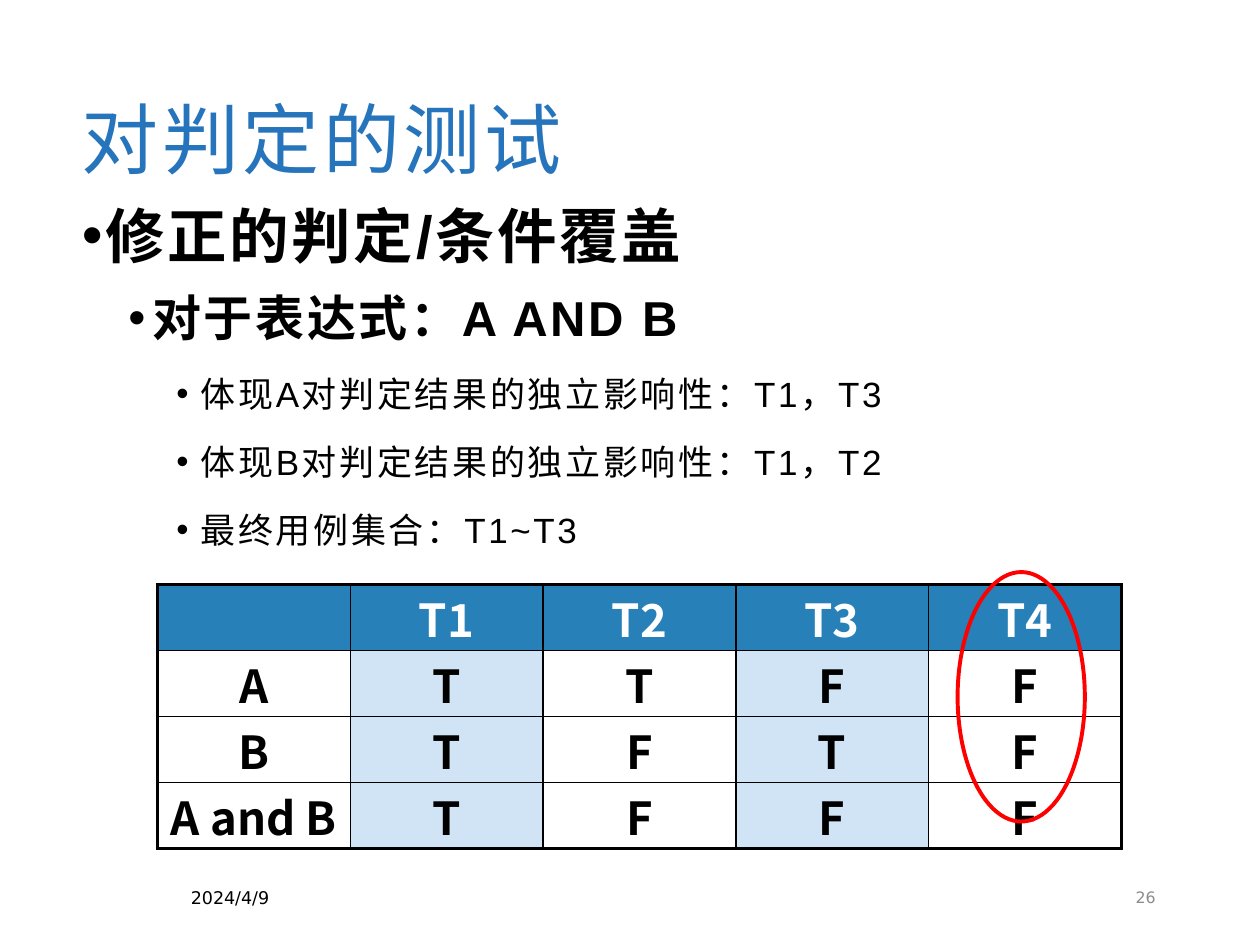
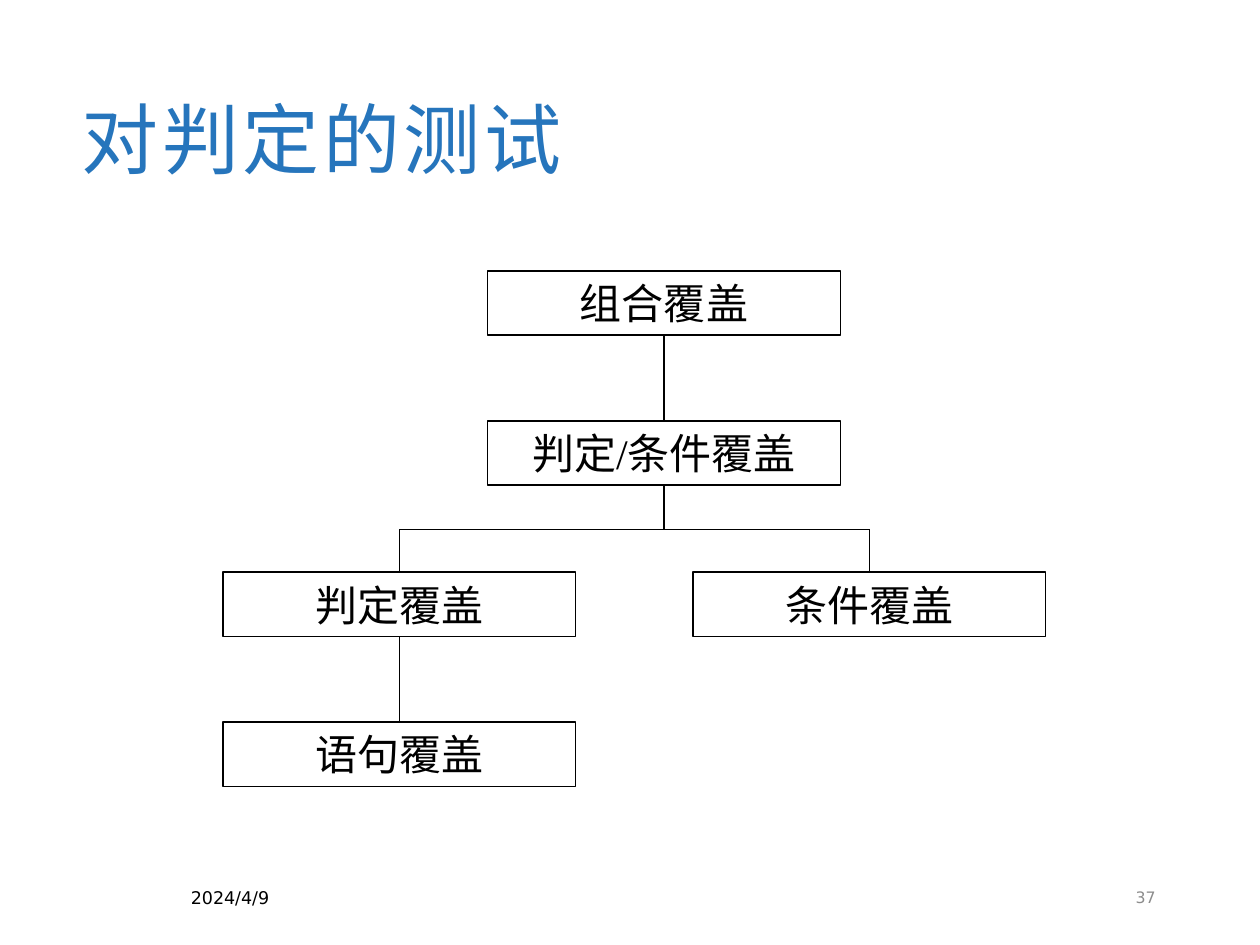
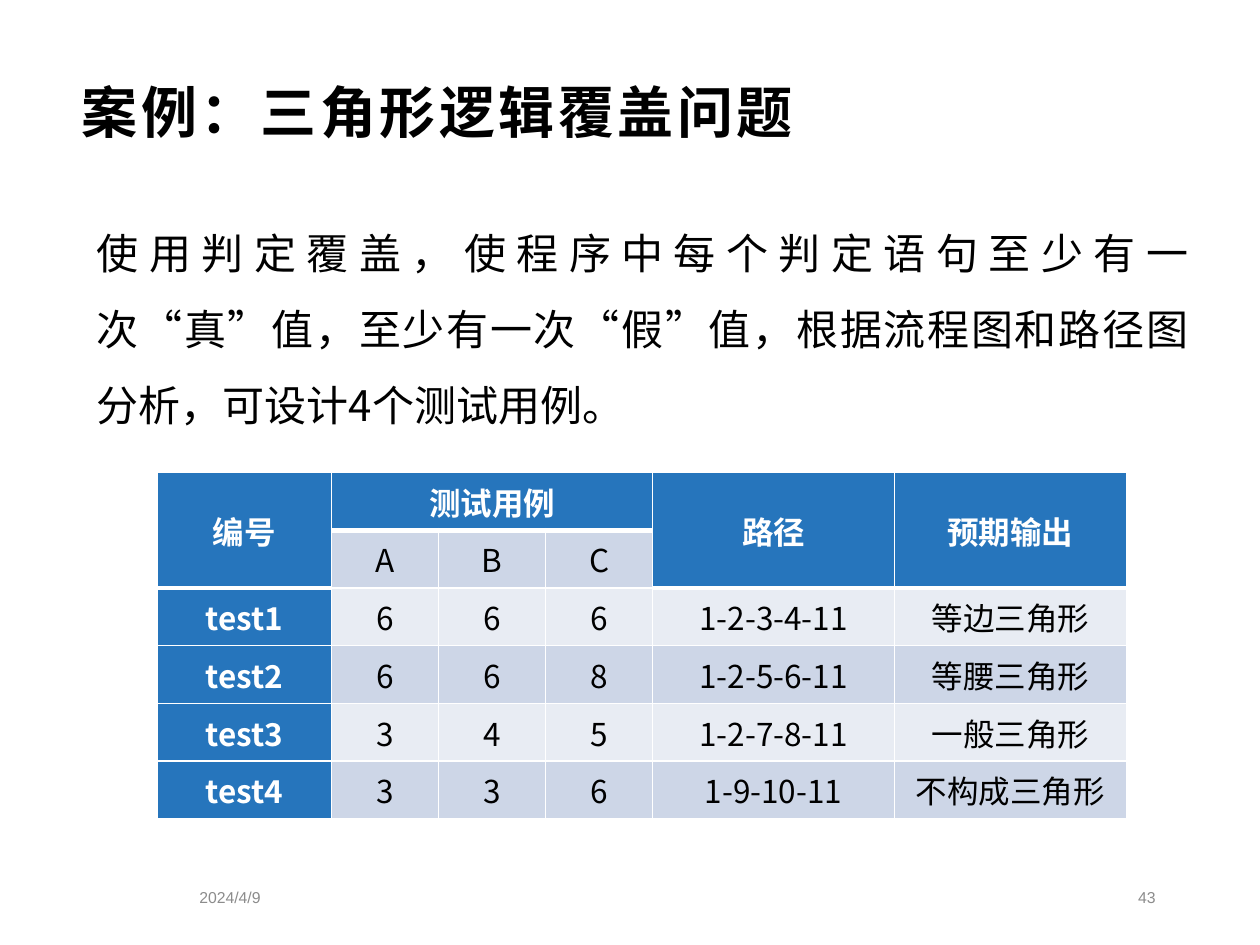
from pptx import Presentation
from pptx.dml.color import RGBColor
from pptx.enum.shapes import MSO_CONNECTOR, MSO_SHAPE
from pptx.enum.text import MSO_ANCHOR, MSO_AUTO_SIZE, PP_ALIGN
from pptx.oxml import parse_xml
from pptx.oxml.ns import nsdecls, qn
from pptx.util import Inches, Pt
from lxml.etree import SubElement


class Theme:
    blue, header, pale = "2675BC", "2780B7", "D0E4F5"
    band_dark, band_light = "CDD6E7", "E8ECF3"
    black, white, grey, red = "000000", "FFFFFF", "8C8C8C", "FF0000"
    latin, cjk, serif, footer = "Arial", "Noto Sans CJK SC", "Times New Roman", "DejaVu Sans"
    title, case_title, text, truth_table, case_table = 44, 32, 24, 26, 18
    date, page = 10, 9


def format_text(shape, size, font, color, bold=False, align=PP_ALIGN.LEFT,
                anchor=MSO_ANCHOR.MIDDLE, spacing=0):
    frame = shape.text_frame
    frame.word_wrap, frame.auto_size = True, MSO_AUTO_SIZE.NONE
    frame.vertical_anchor = anchor
    for paragraph in frame.paragraphs:
        paragraph.alignment = align
        for run in paragraph.runs:
            run.font.size, run.font.name, run.font.bold = Pt(size), font, bold
            run.font.color.rgb = RGBColor.from_string(color)
            properties = run._r.get_or_add_rPr()
            SubElement(properties, qn("a:ea")).set("typeface", Theme.cjk)
            if spacing:
                properties.set("spc", str(int(spacing * 100)))


def format_cell(cell, size, color, bold, fill, side_margin, line_color, widths):
    """Format a table cell; widths holds the left, right, top and bottom border in points."""
    cell.margin_left = cell.margin_right = Inches(side_margin)
    cell.margin_top = cell.margin_bottom = 0
    cell.vertical_anchor = MSO_ANCHOR.MIDDLE
    paragraph = cell.text_frame.paragraphs[0]
    paragraph.alignment = PP_ALIGN.CENTER
    for run in paragraph.runs:
        run.font.size, run.font.name, run.font.bold = Pt(size), Theme.cjk, bold
        run.font.color.rgb = RGBColor.from_string(color)
        SubElement(run._r.get_or_add_rPr(), qn("a:ea")).set("typeface", Theme.cjk)
    for side, width in zip("LRTB", widths):
        cell._tc.get_or_add_tcPr().append(parse_xml(
            f'<a:ln{side} {nsdecls("a")} w="{Pt(width)}"><a:solidFill>'
            f'<a:srgbClr val="{line_color}"/></a:solidFill></a:ln{side}>'))
    if fill:
        cell.fill.solid()
        cell.fill.fore_color.rgb = RGBColor.from_string(fill)
    else:
        cell.fill.background()


presentation = Presentation()
presentation.slide_width, presentation.slide_height = Inches(10), Inches(7.5)

# Titles and footers
slides = []
for title_text, page_number, layout, is_case in (
        ("对判定的测试", "26", 1, False),
        ("对判定的测试", "37", 5, False),
        ("案例：三角形逻辑覆盖问题", "43", 5, True)):
    slide = presentation.slides.add_slide(presentation.slide_layouts[layout])
    slides.append(slide)
    title = slide.shapes.title
    title.left, title.top, title.width = Inches(0.55), Inches(0.45), Inches(8.9)
    title.height = Inches(0.86 if is_case else 1.01)
    title.text_frame.text = title_text
    if is_case:
        format_text(title, Theme.case_title, Theme.latin, Theme.black, bold=True, spacing=2)
    else:
        title.text_frame.margin_bottom = 0
        format_text(title, Theme.title, Theme.latin, Theme.blue,
                    anchor=MSO_ANCHOR.BOTTOM, spacing=2)
    footer_font = Theme.latin if is_case else Theme.footer
    date_size, date_color = (Theme.page, Theme.grey) if is_case else (Theme.date, Theme.black)
    for text, left, size, color, align in (
            ("2024/4/9", 0.72, date_size, date_color, PP_ALIGN.CENTER),
            (page_number, 7.06, Theme.page, Theme.grey, PP_ALIGN.RIGHT)):
        footer = slide.shapes.add_textbox(Inches(left), Inches(6.99), Inches(2.21), Inches(0.26))
        footer.text_frame.text = text
        format_text(footer, size, footer_font, color, align=align)

decision_slide, hierarchy_slide, case_slide = slides

# Modified condition/decision coverage
body = decision_slide.placeholders[1]
body.left, body.top, body.width, body.height = Inches(0.55), Inches(1.41), Inches(8.9), Inches(4.79)
body.text_frame.margin_top = 0
points = [
    ("修正的判定/条件覆盖", 0),
    ("对于表达式：A AND B", 1),
    ("体现A对判定结果的独立影响性：T1，T3", 2),
    ("体现B对判定结果的独立影响性：T1，T2", 2),
    ("最终用例集合：T1~T3", 2),
]
level_styles = [(34, True, 1.3, 0.19), (28, True, 1.0, 0.56), (20, False, 1.2, 0.94)]
body.text_frame.text = "\n".join(text for text, level in points)
format_text(body, 20, Theme.latin, Theme.black, align=PP_ALIGN.JUSTIFY,
            anchor=MSO_ANCHOR.TOP, spacing=1.5)
for paragraph, (text, level) in zip(body.text_frame.paragraphs, points):
    size, bold, line_spacing, indent = level_styles[level]
    paragraph.level = level
    paragraph.line_spacing = line_spacing
    paragraph.space_before, paragraph.space_after = Pt(0), Pt(10)
    properties = paragraph._p.get_or_add_pPr()
    properties.set("marL", str(Inches(indent)))
    properties.set("indent", str(Inches(-0.19)))
    SubElement(properties, qn("a:buChar")).set("char", "•")
    paragraph.runs[0].font.size, paragraph.runs[0].font.bold = Pt(size), bold

truth_rows = [
    ["", "T1", "T2", "T3", "T4"],
    ["A", "T", "T", "F", "F"],
    ["B", "T", "F", "T", "F"],
    ["A and B", "T", "F", "F", "F"],
]
truth_table = decision_slide.shapes.add_table(
    4, 5, Inches(1.25), Inches(4.64), Inches(7.64), Inches(1.76)).table
for column in truth_table.columns:
    column.width = Inches(1.53)
for row, texts in enumerate(truth_rows):
    for column, text in enumerate(texts):
        cell = truth_table.cell(row, column)
        cell.text_frame.text = text
        fill = Theme.header if row == 0 else Theme.pale if column % 2 else None
        on_edge = (column == 0, column == 4, row == 0, row == 3)
        format_cell(cell, Theme.truth_table, Theme.black if row else Theme.white, True, fill, 0,
                    Theme.black, [2.25 if edge else 1 for edge in on_edge])

unused_case = decision_slide.shapes.add_shape(
    MSO_SHAPE.OVAL, Inches(7.6), Inches(4.54), Inches(1.01), Inches(1.98))
unused_case.shadow.inherit = False
unused_case.fill.background()
unused_case.line.color.rgb = RGBColor.from_string(Theme.red)
unused_case.line.width = Pt(2.25)

# Coverage hierarchy
boxes = {}
for text, left, top in (
        ("组合覆盖", 3.87, 2.15),
        ("判定/条件覆盖", 3.87, 3.34),
        ("判定覆盖", 1.77, 4.54),
        ("条件覆盖", 5.5, 4.54),
        ("语句覆盖", 1.77, 5.73)):
    box = hierarchy_slide.shapes.add_shape(
        MSO_SHAPE.RECTANGLE, Inches(left), Inches(top), Inches(2.8), Inches(0.51))
    box.shadow.inherit = False
    box.fill.background()
    box.line.color.rgb = RGBColor.from_string(Theme.black)
    box.line.width = Pt(0.75)
    box.text_frame.margin_top = box.text_frame.margin_bottom = 0
    box.text_frame.text = text
    format_text(box, Theme.text, Theme.serif, Theme.black, align=PP_ALIGN.CENTER)
    boxes[text] = box

branch_y = 4.2
for upper, lower, start, end in (
        ("组合覆盖", "判定/条件覆盖", (5.27, 2.66), (5.27, 3.34)),
        ("判定/条件覆盖", None, (5.27, 3.85), (5.27, branch_y)),
        (None, None, (3.17, branch_y), (6.9, branch_y)),
        (None, "判定覆盖", (3.17, branch_y), (3.17, 4.54)),
        (None, "条件覆盖", (6.9, branch_y), (6.9, 4.54)),
        ("判定覆盖", "语句覆盖", (3.17, 5.05), (3.17, 5.73))):
    connector = hierarchy_slide.shapes.add_connector(
        MSO_CONNECTOR.STRAIGHT, *(Inches(value) for value in start + end))
    if upper:
        connector.begin_connect(boxes[upper], 2)
    if lower:
        connector.end_connect(boxes[lower], 0)
    connector.line.color.rgb = RGBColor.from_string(Theme.black)
    connector.line.width = Pt(0.75)
    SubElement(connector._element.spPr, qn("a:effectLst"))

# Triangle case
description = case_slide.shapes.add_textbox(Inches(0.67), Inches(1.56), Inches(8.86), Inches(1.93))
description.text_frame.text = (
    "使用判定覆盖，使程序中每个判定语句至少有一次“真”值，至少有一次“假”值，"
    "根据流程图和路径图分析，可设计4个测试用例。")
format_text(description, Theme.text, Theme.cjk, Theme.black, align=PP_ALIGN.JUSTIFY,
            anchor=MSO_ANCHOR.TOP)
description.text_frame.paragraphs[0].line_spacing = 1.5

case_rows = [
    ["编号", "测试用例", "", "", "路径", "预期输出"],
    ["", "A", "B", "C", "", ""],
    ["test1", "6", "6", "6", "1-2-3-4-11", "等边三角形"],
    ["test2", "6", "6", "8", "1-2-5-6-11", "等腰三角形"],
    ["test3", "3", "4", "5", "1-2-7-8-11", "一般三角形"],
    ["test4", "3", "3", "6", "1-9-10-11", "不构成三角形"],
]
case_table = case_slide.shapes.add_table(
    6, 6, Inches(1.25), Inches(3.75), Inches(7.7), Inches(2.75)).table
for column, width in zip(case_table.columns, (1.38, 0.85, 0.85, 0.85, 1.92, 1.84)):
    column.width = Inches(width)
for row, texts in enumerate(case_rows):
    for column, text in enumerate(texts):
        cell = case_table.cell(row, column)
        cell.text_frame.text = text
        two_row_header = column in (0, 4, 5)
        is_header = row == 0 or column == 0 or (row == 1 and two_row_header)
        band = Theme.band_dark if row % 2 else Theme.band_light
        header_end = 1 if two_row_header else 0
        top = 3 if row == header_end + 1 else 1
        bottom = 3 if row == header_end or row == 0 else 1
        format_cell(cell, Theme.case_table, Theme.white if is_header else Theme.black, is_header,
                    Theme.blue if is_header else band, 0.06, Theme.white, (1, 1, top, bottom))
case_table.cell(0, 1).merge(case_table.cell(0, 3))
for column in (0, 4, 5):
    case_table.cell(0, column).merge(case_table.cell(1, column))

presentation.save("out.pptx")
